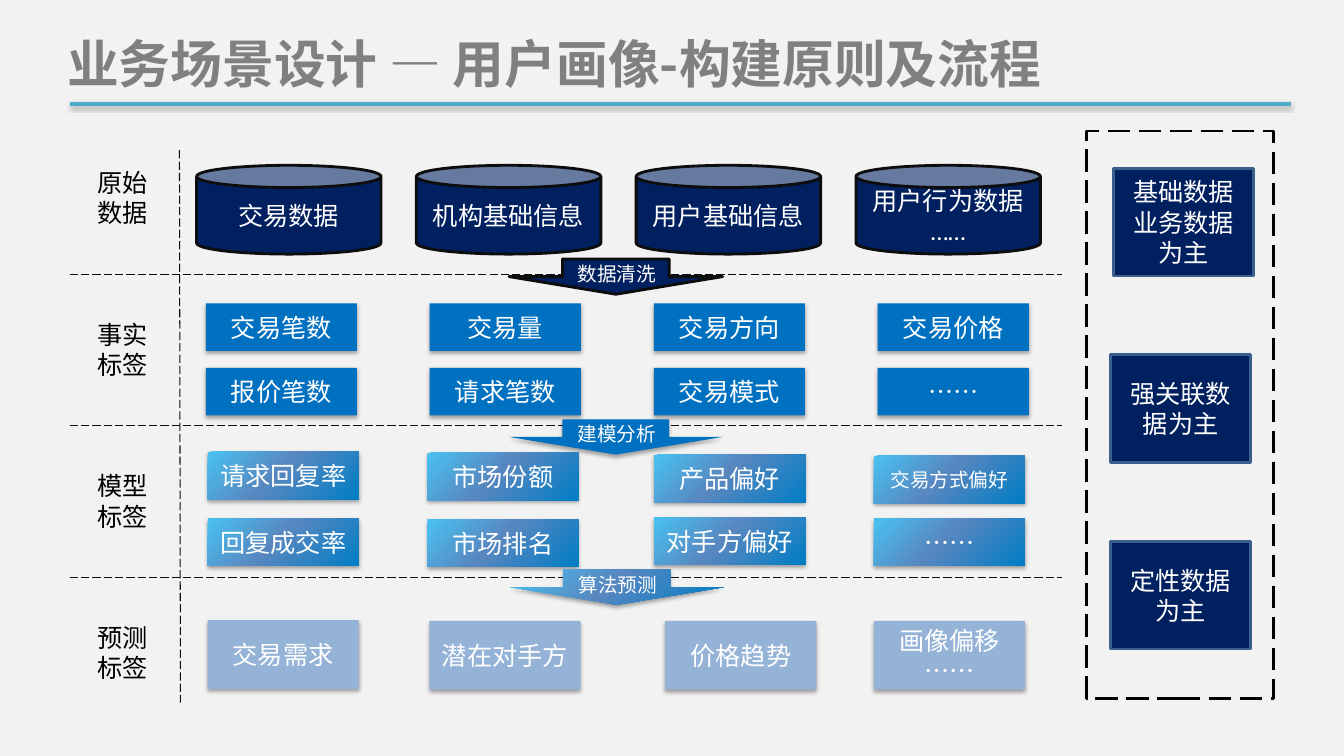
from dataclasses import dataclass
from lxml import etree
from pptx import Presentation
from pptx.dml.color import RGBColor
from pptx.enum.dml import MSO_LINE
from pptx.enum.shapes import MSO_CONNECTOR, MSO_SHAPE
from pptx.enum.text import MSO_ANCHOR, PP_ALIGN
from pptx.oxml.ns import qn
from pptx.util import Pt

RECTANGLE, CAN, DOWN_ARROW = MSO_SHAPE.RECTANGLE, MSO_SHAPE.CAN, MSO_SHAPE.DOWN_ARROW
STRAIGHT = MSO_CONNECTOR.STRAIGHT
LONG_DASH = MSO_LINE.LONG_DASH
TOP, MIDDLE = MSO_ANCHOR.TOP, MSO_ANCHOR.MIDDLE
LEFT, CENTER = PP_ALIGN.LEFT, PP_ALIGN.CENTER

NOTO, CALIBRI = "Noto Sans CJK SC", "Calibri"
NAVY, BLUE, PALE_BLUE = "002060", "0070C0", "95B3D7"
WHITE, BLACK, NEAR_BLACK = "FFFFFF", "000000", "0D0D0D"
GRADIENT = ((0, "49C2F1"), (46, "5887C0"), (100, "007DC4"))
GRADIENT_NAME = "gradient"


@dataclass
class Box:
    left: float
    top: float
    width: float
    height: float


@dataclass
class Style:
    fill: str | None
    line: str | None = None
    dashed: bool = False
    font: str = NOTO


@dataclass
class Tag:
    text: str
    left: float
    top: float
    size: float = 18


@dataclass
class Stage:
    arrow_text: str
    arrow_left: float
    arrow_top: float
    style: Style


SOURCE = Style(NAVY, NEAR_BLACK, font=CALIBRI)
FACT = Style(BLUE)
MODEL = Style(GRADIENT_NAME)
FORECAST = Style(PALE_BLUE)
PRINCIPLE = Style(NAVY, "3A5F8C")
FRAME = Style(None, BLACK, dashed=True)

ROW_LABELS = ["原始数据", "事实标签", "模型标签", "预测标签"]
ROW_STEP = 108.4
SOURCES = ["交易数据", "机构基础信息", "用户基础信息", "用户行为数据\n……"]
FACTS = [["交易笔数", "交易量", "交易方向", "交易价格"],
         ["报价笔数", "请求笔数", "交易模式", "……"]]
MODELS = [
    Tag("请求回复率", 148.3, 322.6), Tag("市场份额", 305.3, 323.3),
    Tag("产品偏好", 467.3, 324.7), Tag("交易方式偏好", 624.2, 325.4, 14),
    Tag("回复成交率", 148.3, 370.1), Tag("市场排名", 305.3, 370.8),
    Tag("对手方偏好", 467.3, 369.4), Tag("……", 624.2, 370.1),
]
FORECASTS = [
    Tag("交易需求", 148.3, 443), Tag("潜在对手方", 306.7, 443.5),
    Tag("价格趋势", 475.2, 443.5), Tag("画像偏移\n……", 624.2, 443.5),
]
CLEANING = Stage("数据清洗", 363.6, 185, SOURCE)
MODELLING = Stage("建模分析", 363.6, 299.5, FACT)
PREDICTION = Stage("算法预测", 364.3, 406.8, MODEL)
PRINCIPLES = [Tag("基础数据业务数据为主", 795.6, 120.2),
              Tag("强关联数据为主", 793.4, 253.4),
              Tag("定性数据为主", 793.4, 386.6)]


def color(value: str) -> RGBColor:
    return RGBColor.from_string(value)


def add_soft_shadow(effects) -> None:
    shadow = etree.SubElement(effects, qn("a:outerShdw"), blurRad=str(Pt(3.1)),
                              dist=str(Pt(1.8)), dir="5400000", rotWithShape="0")
    tint = etree.SubElement(shadow, qn("a:srgbClr"), val=BLACK)
    etree.SubElement(tint, qn("a:alpha"), val="35000")


def fill_gradient(shape) -> None:
    shape.fill.gradient()
    shape.fill.gradient_angle = 315
    stops = shape._element.spPr.find(qn("a:gradFill")).find(qn("a:gsLst"))
    for stop in list(stops):
        stops.remove(stop)
    for position, value in GRADIENT:
        stop = etree.SubElement(stops, qn("a:gs"), pos=str(position * 1000))
        etree.SubElement(stop, qn("a:srgbClr"), val=value)


def write_text(shape, text: str, size: float, font: str, ink: str,
               align=CENTER, anchor=MIDDLE, bold: bool = False) -> None:
    frame = shape.text_frame
    frame.text = text
    frame.word_wrap = True
    frame.vertical_anchor = anchor
    for paragraph in frame.paragraphs:
        paragraph.alignment = align
        for run in paragraph.runs:
            run.font.size = Pt(size)
            run.font.bold = bold
            run.font.name = font
            run.font.color.rgb = color(ink)
            if font == NOTO:
                etree.SubElement(run.font._element, qn("a:ea"), typeface=font)


def add_label(slide, box: Box, text: str, size: float, font: str, ink: str,
              anchor=TOP, bold: bool = False):
    label = slide.shapes.add_textbox(Pt(box.left), Pt(box.top), Pt(box.width), Pt(box.height))
    write_text(label, text, size, font, ink, LEFT, anchor, bold)
    return label


def add_block(slide, kind, box: Box, style: Style, text: str = "", size: float = 18) -> None:
    """Add a preset shape; filled shapes without an outline get a soft shadow."""
    shape = slide.shapes.add_shape(kind, Pt(box.left), Pt(box.top), Pt(box.width), Pt(box.height))
    shape.shadow.inherit = False
    if style.fill is None:
        shape.fill.background()
    elif style.fill == GRADIENT_NAME:
        fill_gradient(shape)
    else:
        shape.fill.solid()
        shape.fill.fore_color.rgb = color(style.fill)
    if style.line:
        shape.line.color.rgb = color(style.line)
        shape.line.width = Pt(2)
        if style.dashed:
            shape.line.dash_style = LONG_DASH
    else:
        shape.line.fill.background()
        add_soft_shadow(shape._element.spPr.find(qn("a:effectLst")))
    if text:
        write_text(shape, text, size, style.font, WHITE)


def add_rule(slide, x1: float, y1: float, x2: float, y2: float,
             ink: str = NEAR_BLACK, width: float = 0.75, heading: bool = False) -> None:
    rule = slide.shapes.add_connector(STRAIGHT, Pt(x1), Pt(y1), Pt(x2), Pt(y2))
    rule.line.color.rgb = color(ink)
    rule.line.width = Pt(width)
    if not heading:
        rule.line.dash_style = LONG_DASH
    effects = etree.SubElement(rule._element.spPr, qn("a:effectLst"))
    if heading:
        add_soft_shadow(effects)


def add_tags(slide, tags: list[Tag], width: float, height: float, style: Style) -> None:
    for tag in tags:
        add_block(slide, RECTANGLE, Box(tag.left, tag.top, width, height),
                  style, tag.text, tag.size)


def add_stage(slide, stage: Stage) -> None:
    add_block(slide, DOWN_ARROW, Box(stage.arrow_left, stage.arrow_top, 152.6, 25.2), stage.style)
    add_label(slide, Box(stage.arrow_left + 41.8, stage.arrow_top - 1.4, 72, 24.5),
              stage.arrow_text, 14, NOTO, WHITE)


def main() -> None:
    presentation = Presentation()
    presentation.slide_width, presentation.slide_height = Pt(960), Pt(540)
    slide = presentation.slides.add_slide(presentation.slide_layouts[6])
    slide.background.fill.solid()
    slide.background.fill.fore_color.rgb = color("F2F2F2")

    add_rule(slide, 49.7, 74.2, 922.3, 74.2, "4BACC6", 3, heading=True)
    title = add_label(slide, Box(41, 24.5, 806.4, 46.8), "业务场景设计 — 用户画像-构建原则及流程",
                      37, NOTO, "808080", MIDDLE, bold=True)
    title.text_frame.paragraphs[0].line_spacing = 0.9

    for row, text in enumerate(ROW_LABELS):
        if row:
            y = 195.8 + (row - 1) * ROW_STEP
            add_rule(slide, 49.7, y, 758.9, y)
        add_label(slide, Box(62.6, 115.9 + row * ROW_STEP, 54, 51), text, 18, CALIBRI, BLACK)
    add_rule(slide, 128.2, 107.3, 128.9, 501.8)

    for column, text in enumerate(SOURCES):
        add_block(slide, CAN, Box(140.4 + column * 157, 118.1, 131.8, 63.4), SOURCE, text)
    add_stage(slide, CLEANING)
    facts = [Tag(text, 147 + column * 160, 216.7 + row * 46)
             for row, texts in enumerate(FACTS) for column, text in enumerate(texts)]
    add_tags(slide, facts, 108, 34, FACT)
    add_stage(slide, MODELLING)
    add_tags(slide, MODELS, 108, 34, MODEL)
    add_stage(slide, PREDICTION)
    add_tags(slide, FORECASTS, 108, 49, FORECAST)

    add_block(slide, RECTANGLE, Box(776.2, 93.6, 133.2, 405.4), FRAME)
    add_tags(slide, PRINCIPLES, 100, 77, PRINCIPLE)
    presentation.save("out.pptx")


if __name__ == "__main__":
    main()
